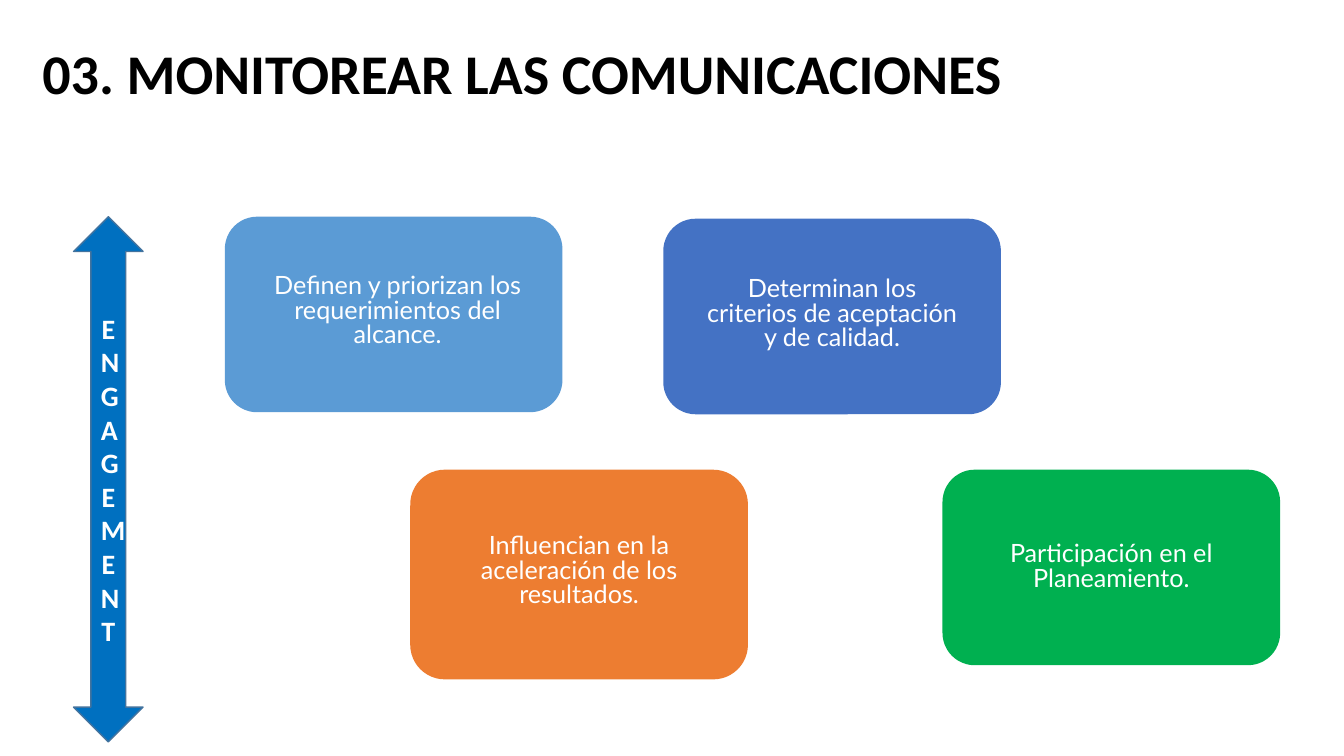
import pptx
import pptx.util
from pptx.dml.color import RGBColor
from pptx.enum.shapes import MSO_SHAPE
from pptx.enum.text import MSO_ANCHOR, MSO_AUTO_SIZE, PP_ALIGN

WHITE = RGBColor(0xFF, 0xFF, 0xFF)
BLACK = RGBColor(0x00, 0x00, 0x00)
SKY = RGBColor(0x5B, 0x9B, 0xD5)
GREEN = RGBColor(0x00, 0xB0, 0x50)
INDIGO = RGBColor(0x44, 0x72, 0xC4)
ORANGE = RGBColor(0xED, 0x7D, 0x31)
ARROW_BLUE = RGBColor(0x00, 0x70, 0xC0)
ARROW_EDGE = RGBColor(0x43, 0x73, 0x9E)

WIDTH = pptx.util.Inches(13.33)
HEIGHT = pptx.util.Inches(7.5)
COLUMN = WIDTH / 40
ROW = HEIGHT / 30

TITLE_BOX = (0.96, 1.64, 29.79, 3.16)
ARROW_BOX = (2.19, 8.6, 2.07, 20.84)
CARD_WIDTH, CARD_HEIGHT, TALL_HEIGHT = 10.05, 7.76, 8.32
CAPTION_WIDTH, TWO_LINES, THREE_LINES = 7.95, 2.24, 3.24

CARDS = [
    ((6.69, 8.6, CARD_WIDTH, CARD_HEIGHT), SKY, (1.17, 2.2, THREE_LINES),
     "Definen y priorizan los requerimientos del alcance."),
    ((28.05, 18.64, CARD_WIDTH, CARD_HEIGHT), GREEN, (1.05, 2.8, TWO_LINES),
     "Participación en el Planeamiento."),
    ((19.74, 8.68, CARD_WIDTH, CARD_HEIGHT), INDIGO, (1.05, 2.24, THREE_LINES),
     "Determinan los criterios de aceptación y de calidad."),
    ((12.21, 18.64, CARD_WIDTH, TALL_HEIGHT), ORANGE, (1.05, 2.48, THREE_LINES),
     "Influencian en la aceleración de los resultados."),
]


def apply(target, formats):
    """Set each named format value on the target."""
    for name, value in formats.items():
        setattr(target, name, value)


def grid(box):
    """Turn columns and rows into slide lengths."""
    left, top, width, height = box
    return [round(n) for n in (left * COLUMN, top * ROW, width * COLUMN, height * ROW)]


def write(shape, text, frame_formats, para_formats, font_formats, color):
    """Write one formatted paragraph into a shape."""
    frame = shape.text_frame
    apply(frame, {"word_wrap": True, **frame_formats})
    para = frame.paragraphs[0]
    apply(para, para_formats)
    span = para.add_run()
    span.text = text
    apply(span.font, font_formats)
    span.font.color.rgb = color


def add_block(page, kind, box, fill):
    """Add a flat filled shape without an outline."""
    shape = page.shapes.add_shape(kind, *grid(box))
    shape.shadow.inherit = False
    shape.fill.solid()
    shape.fill.fore_color.rgb = fill
    shape.line.fill.background()
    return shape


def add_title(page, box):
    """Place the slide title."""
    title = page.shapes.title
    apply(title, dict(zip(("left", "top", "width", "height"), grid(box))))
    write(title, "03. MONITOREAR LAS COMUNICACIONES",
          {"vertical_anchor": MSO_ANCHOR.TOP, "auto_size": MSO_AUTO_SIZE.NONE},
          {"alignment": PP_ALIGN.LEFT, "line_spacing": 0.9},
          {"name": "Calibri", "size": pptx.util.Pt(40), "bold": True}, BLACK)


def add_card(page, box, fill, caption, text):
    """Draw a rounded card with its caption set inside it."""
    card = add_block(page, MSO_SHAPE.ROUNDED_RECTANGLE, box, fill)
    card.adjustments[0] = 0.165
    inset, drop, height = caption
    label = page.shapes.add_textbox(
        *grid((box[0] + inset, box[1] + drop, CAPTION_WIDTH, height)))
    side, edge = pptx.util.Inches(0.05), pptx.util.Inches(0.03)
    write(label, text,
          {"margin_left": side, "margin_right": side, "margin_top": edge,
           "margin_bottom": edge, "auto_size": MSO_AUTO_SIZE.SHAPE_TO_FIT_TEXT},
          {"alignment": PP_ALIGN.CENTER, "line_spacing": pptx.util.Pt(17.5)},
          {"name": "Lato", "size": pptx.util.Pt(18)}, WHITE)


def add_engagement_arrow(page, box):
    """Draw the vertical double arrow with its stacked letters."""
    arrow = add_block(page, MSO_SHAPE.UP_DOWN_ARROW, box, ARROW_BLUE)
    arrow.line.color.rgb = ARROW_EDGE
    arrow.line.width = pptx.util.Pt(1)
    write(arrow, "ENGAGEMENT", {"vertical_anchor": MSO_ANCHOR.MIDDLE},
          {"alignment": PP_ALIGN.CENTER},
          {"name": "Calibri", "size": pptx.util.Pt(20), "bold": True}, WHITE)


def main():
    """Build the slide and save the deck."""
    deck = pptx.Presentation()
    apply(deck, {"slide_width": WIDTH, "slide_height": HEIGHT})
    page = deck.slides.add_slide(deck.slide_layouts[5])
    for card in CARDS:
        add_card(page, *card)
    add_engagement_arrow(page, ARROW_BOX)
    add_title(page, TITLE_BOX)
    deck.save("out.pptx")


if __name__ == "__main__":
    main()
